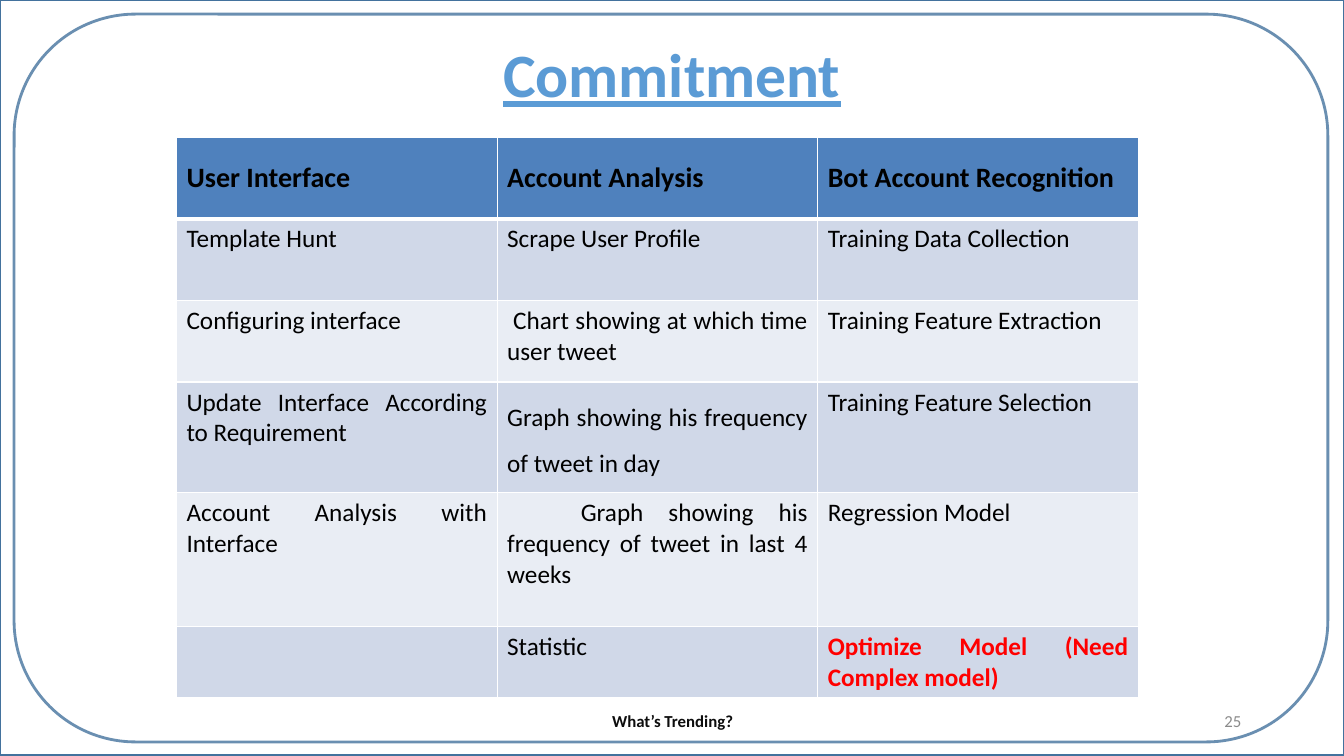
from lxml import etree
from pptx import Presentation
from pptx.dml.color import RGBColor
from pptx.enum.shapes import MSO_SHAPE
from pptx.enum.text import MSO_ANCHOR, PP_ALIGN
from pptx.oxml.ns import qn
from pptx.util import Inches, Pt

WIDTH, HEIGHT = 13.33, 7.5
FONT = "Calibri"
FRAME, HEADER, BANDS = "43729D", "4F81BD", ("E9EDF4", "D0D8E8")
COLUMN, ROWS = 3.18, (0.81, 0.81, 0.81, 1.1, 1.33, 0.7)
COMMITMENTS = (
    ("User Interface", "Account Analysis ", "Bot Account Recognition"),
    ("Template Hunt", "Scrape User Profile", "Training Data Collection"),
    ("Configuring interface", "Chart showing at which time user tweet",
     "Training Feature Extraction"),
    ("Update Interface According to Requirement",
     "Graph showing his frequency of tweet in day",
     "Training Feature Selection"),
    ("Account Analysis with Interface",
     "Graph showing his frequency of tweet in last 4 weeks",
     "Regression Model"),
    ("", "Statistic", "Optimize Model (Need Complex model)"),
)
INDENTS = {(2, 1): 0.06, (4, 1): 0.73}
SPACINGS = {(3, 1): 1.5}
OPEN_ITEM = (5, 2)


def rgb(value):
    """Turn a hex string into a colour."""
    return RGBColor.from_string(value)


def box(x, y, w, h):
    """Turn shares of the slide's size into lengths."""
    return (Inches(x * WIDTH), Inches(y * HEIGHT),
            Inches(w * WIDTH), Inches(h * HEIGHT))


def add_run(p, text, size, color, bold=False, underline=False):
    """Add one formatted run to a paragraph."""
    r = p.add_run()
    r.text = text
    r.font.name, r.font.size = FONT, Pt(size)
    r.font.bold, r.font.underline = bold, underline
    r.font.color.rgb = rgb(color)


def add_label(s, place, text, align, size, color, spacing=1.0, **style):
    """Add a wrapped, vertically centred line of text."""
    tf = s.shapes.add_textbox(*box(*place)).text_frame
    tf.word_wrap, tf.vertical_anchor = True, MSO_ANCHOR.MIDDLE
    p = tf.paragraphs[0]
    p.alignment, p.line_spacing = align, spacing
    add_run(p, text, size, color, **style)


def add_frame(s, kind, place, opacity=100):
    """Add an unfilled outline around the slide."""
    sp = s.shapes.add_shape(kind, *box(*place))
    sp.shadow.inherit = False
    sp.fill.background()
    sp.line.color.rgb, sp.line.width = rgb(FRAME), Pt(2)
    if opacity < 100:
        color = sp.line._get_or_add_ln().find(".//" + qn("a:srgbClr"))
        etree.SubElement(color, qn("a:alpha"), val=str(opacity * 1000))


def set_borders(cell, bottom):
    """Give a cell white borders, with its own bottom width."""
    tc_pr = cell._tc.get_or_add_tcPr()
    for i, (side, width) in enumerate(
            (("L", 1), ("R", 1), ("T", 1), ("B", bottom))):
        ln = etree.Element(qn("a:ln" + side), w=str(Pt(width)))
        fill = etree.SubElement(ln, qn("a:solidFill"))
        etree.SubElement(fill, qn("a:srgbClr"), val="FFFFFF")
        tc_pr.insert(i, ln)


def fill_cell(cell, text, row, col):
    """Write and style one cell of the commitment table."""
    header, open_item = row == 0, (row, col) == OPEN_ITEM
    cell.fill.solid()
    cell.fill.fore_color.rgb = rgb(HEADER if header else BANDS[row % 2])
    set_borders(cell, 3 if header or row == 1 and False else 1)
    cell.vertical_anchor = MSO_ANCHOR.MIDDLE if header else MSO_ANCHOR.TOP
    if not text:
        return
    p = cell.text_frame.paragraphs[0]
    p.alignment = PP_ALIGN.JUSTIFY
    p.line_spacing = SPACINGS.get((row, col), 1.0)
    if (row, col) in INDENTS:
        p._p.get_or_add_pPr().set("indent", str(Inches(INDENTS[row, col])))
    add_run(p, text, 20 if header else 18,
            "FF0000" if open_item else "000000", bold=header or open_item)


def add_commitments(s, x, y):
    """Add the table of commitments, one column per module."""
    columns = len(COMMITMENTS[0])
    table = s.shapes.add_table(
        len(ROWS), columns, Inches(x * WIDTH), Inches(y * HEIGHT),
        Inches(COLUMN * columns), Inches(sum(ROWS))).table
    for column in table.columns:
        column.width = Inches(COLUMN)
    for row, texts in enumerate(COMMITMENTS):
        table.rows[row].height = Inches(ROWS[row])
        for col, text in enumerate(texts):
            fill_cell(table.cell(row, col), text, row, col)


def main():
    """Build the slide and save it."""
    prs = Presentation()
    prs.slide_width, prs.slide_height = Inches(WIDTH), Inches(HEIGHT)
    s = prs.slides.add_slide(prs.slide_layouts[6])
    add_label(s, (0, 0.023, 1, 0.159), "Commitment", PP_ALIGN.CENTER, 44,
              "5B9BD5", spacing=0.9, bold=True, underline=True)
    add_label(s, (0.332, 0.927, 0.337, 0.052), "What’s Trending?",
              PP_ALIGN.CENTER, 12, "0D0D0D", bold=True)
    add_frame(s, MSO_SHAPE.RECTANGLE, (0, 0, 1, 0.999))
    add_frame(s, MSO_SHAPE.ROUNDED_RECTANGLE,
              (0.0105, 0.0187, 0.9775, 0.9627), opacity=79)
    add_label(s, (0.707, 0.927, 0.224, 0.052), "25",
              PP_ALIGN.RIGHT, 12, "8B8B8B")
    add_commitments(s, 0.1313, 0.1813)
    prs.save("out.pptx")


main()
